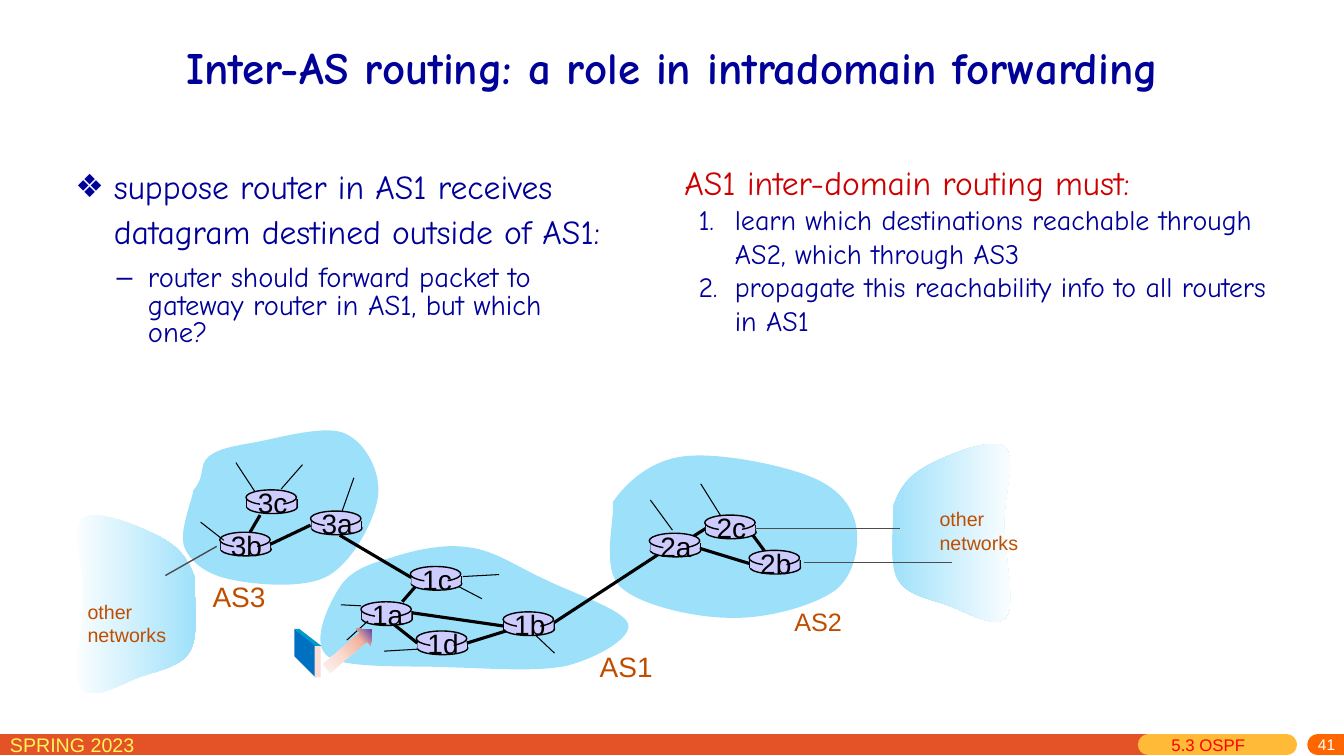
from lxml import etree
from pptx import Presentation, util as u
from pptx.dml.color import RGBColor
from pptx.enum import shapes, text
from pptx.oxml.ns import qn

COLS, ROWS = 1333, 750
SHAPE = shapes.MSO_SHAPE
ALIGN = text.PP_ALIGN
NAVY, RUST, BLACK, GREY = "000099", "BF4D00", "000000", "4C4C4C"
SKY, LILAC, PINK, WHITE = "9CE0FA", "CCCCFF", "FADDD4", "FFFFFF"
COMIC = "Comic Neue"


def paint(fill, tone):
    fill.solid()
    fill.fore_color.rgb = RGBColor.from_string(tone)


def bend(item):
    lines = list(item._element.iter(qn("a:lnTo")))
    for n in range(0, len(lines), 3):
        curve = etree.Element(qn("a:cubicBezTo"))
        lines[n].addprevious(curve)
        for line in lines[n:n + 3]:
            curve.append(line[0])
            line.getparent().remove(line)


class Deck:
    """Holds the style and the current slide, measured on a 1333 by 750 grid."""

    def __init__(self):
        self.prs = Presentation()
        self.prs.slide_width, self.prs.slide_height = u.Inches(13.33), u.Inches(7.5)
        self.wide, self.high = self.prs.slide_width / COLS, self.prs.slide_height / ROWS
        self.items = self.prs.slides.add_slide(self.prs.slide_layouts[6]).shapes

    def place(self, x, y):
        return u.Emu(round(x * self.wide)), u.Emu(round(y * self.high))

    def style(self, item, fill, edge=None):
        item.shadow.inherit = False
        if isinstance(fill, str):
            paint(item.fill, fill)
        else:
            item.fill.gradient()
            item.fill.gradient_angle = 0
            stops = item._element.spPr.find(qn("a:gradFill")).find(qn("a:gsLst"))
            for old in list(stops):
                stops.remove(old)
            for pos, tone in fill:
                stop = etree.SubElement(stops, qn("a:gs"), pos=str(pos * 1000))
                etree.SubElement(stop, qn("a:srgbClr"), val=tone)
        if edge:
            paint(item.line.fill, edge)
            item.line.width = u.Pt(1)
        else:
            item.line.fill.background()
        return item

    def form(self, kind, x, y, w, h, fill, edge=None):
        item = self.items.add_shape(kind, *self.place(x, y), *self.place(w, h))
        return self.style(item, fill, edge)

    def free(self, pts, fill):
        spots = [self.place(*p) for p in pts]
        pen = self.items.build_freeform(*spots[0], scale=1.0)
        pen.add_line_segments(spots[1:], close=True)
        return self.style(pen.convert_to_shape(), fill)

    def line(self, a, b, c, d, width, tone=BLACK, cap=None):
        item = self.items.add_connector(
            shapes.MSO_CONNECTOR.STRAIGHT, *self.place(a, b), *self.place(c, d))
        paint(item.line.fill, tone)
        item.line.width = u.Pt(width)
        if cap:
            item.line._get_or_add_ln().set("cap", cap)
        etree.SubElement(item._element.spPr, qn("a:effectLst"))

    def text(self, x, y, w, h, paras, size, tone, font="Arial", wrap=True,
             align=ALIGN.LEFT, mid=False, bold=False):
        box = self.items.add_textbox(*self.place(x, y), *self.place(w, h))
        frame = box.text_frame
        frame.word_wrap = wrap
        if not wrap:
            frame.auto_size = text.MSO_AUTO_SIZE.SHAPE_TO_FIT_TEXT
        if mid:
            frame.vertical_anchor = text.MSO_ANCHOR.MIDDLE
        for n, words in enumerate(paras):
            para = frame.paragraphs[0] if n == 0 else frame.add_paragraph()
            para.alignment = align
            run = para.add_run()
            run.text = words
            run.font.size, run.font.name, run.font.bold = u.Pt(size), font, bold
            run.font.color.rgb = RGBColor.from_string(tone)
        return frame

    def dent(self, para, left, hang, tag=None, **mark):
        props = para._p.get_or_add_pPr()
        props.set("marL", str(self.place(left, 0)[0]))
        props.set("indent", str(self.place(hang, 0)[0]))
        if tag == "buChar":
            etree.SubElement(props, qn("a:buSzPct"), val=mark.pop("size"))
            etree.SubElement(props, qn("a:buFont"), typeface="Arial")
        if tag:
            etree.SubElement(props, qn("a:" + tag), **mark)

    def router(self, name, x, y):
        self.form(SHAPE.OVAL, x + 1, y + 10.5, 50, 13, LILAC, BLACK)
        for side in (x + 1, x + 50.5):
            self.line(side, y + 9.5, side, y + 18, 1)
        self.form(SHAPE.RECTANGLE, x + 1, y + 9.5, 49, 8, LILAC)
        self.form(SHAPE.OVAL, x, y, 50, 15, LILAC, BLACK)
        self.form(SHAPE.RECTANGLE, x + 14, y + 2, 23, 19, LILAC)
        self.text(x, y - 9, 53, 43, [name], 20, BLACK, wrap=False, align=ALIGN.CENTER)


def main():
    deck = Deck()
    deck.line(-18, 739, 1139, 739, 15, "E45327", "rnd")
    deck.line(1139, 739, 1276, 739, 15, "FFBA37", "rnd")
    deck.line(1307, 739, 1360, 739, 15, "FF6600", "rnd")
    deck.text(0, 722, 229, 31, ["SPRING 2023"], 14, "FFF65C")
    page = deck.text(1075, 732, 259, 18, ["41"], 11, WHITE, align=ALIGN.RIGHT, mid=True)
    page.margin_top = 0
    deck.text(1152, 724, 105, 31, ["5.3 OSPF"], 12, "FF0000")
    deck.text(88, 4, 1158, 125, ["Inter-AS routing: a role in intradomain forwarding"],
              32, NAVY, COMIC, align=ALIGN.CENTER, mid=True, bold=True)

    clouds = [
        [(608, 498), (621, 479), (645, 457), (677, 453), (710, 448), (775, 461), (804, 473),
         (832, 484), (845, 502), (849, 521), (853, 540), (848, 571), (828, 586),
         (807, 601), (761, 614), (725, 613), (690, 613), (635, 601), (615, 582),
         (596, 563), (610, 515), (608, 498)],
        [(192, 486), (204, 473), (197, 461), (207, 453), (217, 445), (230, 443), (252, 439),
         (275, 435), (322, 421), (342, 430), (363, 439), (378, 469), (375, 492),
         (372, 516), (350, 557), (326, 571), (302, 585), (252, 580), (229, 575),
         (205, 570), (189, 558), (183, 543), (177, 528), (190, 498), (192, 486)],
        [(338, 581), (349, 565), (368, 559), (389, 553), (410, 546), (440, 539), (465, 543),
         (491, 546), (514, 563), (541, 575), (567, 588), (619, 605), (623, 619),
         (627, 633), (593, 652), (564, 660), (535, 667), (486, 663), (446, 662),
         (406, 660), (343, 664), (325, 651), (307, 637), (327, 597), (338, 581)],
    ]
    for cloud in clouds:
        bend(deck.free(cloud, SKY))

    for name, x, y in [("3b", 218, 528), ("1d", 413, 626), ("3a", 308, 507), ("1c", 407, 562)]:
        deck.router(name, x, y)
    links = [(694, 544, 743, 559), (746, 530, 760, 549), (683, 535, 702, 523),
             (463, 638, 505, 625), (390, 619, 414, 638), (409, 608, 499, 621),
             (399, 597, 412, 582), (268, 540, 308, 521), (337, 531, 408, 573),
             (549, 618, 653, 550)]
    for link in links:
        deck.line(*link, 2.25)
    for name, x, y in [("2a", 644, 529), ("1a", 358, 597), ("2c", 699, 511),
                       ("2b", 743, 546), ("1b", 499, 607), ("3c", 244, 486)]:
        deck.router(name, x, y)
    deck.line(258, 511, 248, 528, 2.25)
    for name, x, y, size in [("AS3", 201, 570, 20), ("AS1", 585, 639, 20), ("AS2", 778, 597, 18)]:
        deck.text(x, y, 73, 43, [name], size, RUST, wrap=False)

    stubs = [(199, 518, 222, 536), (300, 461, 279, 485), (234, 459, 253, 488),
             (351, 474, 339, 508), (715, 512, 695, 480), (667, 526, 645, 496),
             (365, 616, 344, 635), (358, 601, 338, 600), (415, 644, 381, 646),
             (459, 572, 495, 570), (531, 630, 550, 648), (455, 582, 478, 594)]
    for stub in stubs:
        deck.line(*stub, 0.75)

    east = [(886, 502), (892, 485), (900, 473), (918, 463), (936, 453), (983, 433), (996, 443),
            (1009, 453), (995, 493), (996, 522), (996, 550), (1008, 599), (998, 612),
            (989, 626), (958, 607), (939, 600), (921, 594), (898, 590), (890, 574),
            (881, 557), (887, 517), (886, 502)]
    west = [(1079 - x, y + 71) for x, y in east]
    bend(deck.free(west, [(0, WHITE), (100, SKY)]))
    bend(deck.free(east, [(0, SKY), (100, WHITE)]))
    deck.line(215, 542, 164, 571, 1, GREY)
    deck.line(749, 524, 893, 524, 0.75, GREY)
    deck.line(797, 558, 944, 558, 0.75, GREY)
    for x, y in [(77, 590), (922, 498)]:
        deck.text(x, y, 99, 57, ["other", "networks"], 14, RUST, wrap=False)

    case = deck.text(65, 156, 588, 99, [
        "suppose router in AS1 receives datagram destined outside of AS1:"], 24, NAVY, COMIC)
    case.paragraphs[0].line_spacing = 1.1
    deck.dent(case.paragraphs[0], 38, -38, "buChar", char="❖", size="95000")
    tasks = deck.text(669, 156, 600, 192, [
        "AS1 inter-domain routing must:",
        "learn which destinations reachable through AS2, which through AS3",
        "propagate this reachability info to all routers in AS1"], 20, NAVY, COMIC)
    head, *steps = tasks.paragraphs
    head.runs[0].font.size = u.Pt(24)
    head.runs[0].font.color.rgb = RGBColor.from_string("CC0000")
    deck.dent(head, 50, -50)
    for step in steps:
        deck.dent(step, 50, -36, "buAutoNum", type="arabicPeriod")

    arrow = deck.form(SHAPE.RIGHT_ARROW, 317, 633, 59, 22,
                      [(0, "FEF6F4"), (35, PINK), (68, "F3B29E"), (100, "0000A8")])
    arrow.rotation = 319.6
    deck.free([(292, 624), (292, 651), (313, 672), (313, 640)], "0070C0")
    deck.free([(297, 624), (292, 624), (313, 641), (319, 641)], "0099CC")
    deck.form(SHAPE.RECTANGLE, 312, 641, 6, 31, PINK)
    query = deck.text(56, 259, 547, 93, [
        "router should forward packet to gateway router in AS1, but which one?"],
        20.4, NAVY, COMIC)
    query.paragraphs[0].line_spacing = 0.8
    deck.dent(query.paragraphs[0], 81, -31, "buChar", char="–", size="100000")
    deck.prs.save("out.pptx")


if __name__ == "__main__":
    main()
